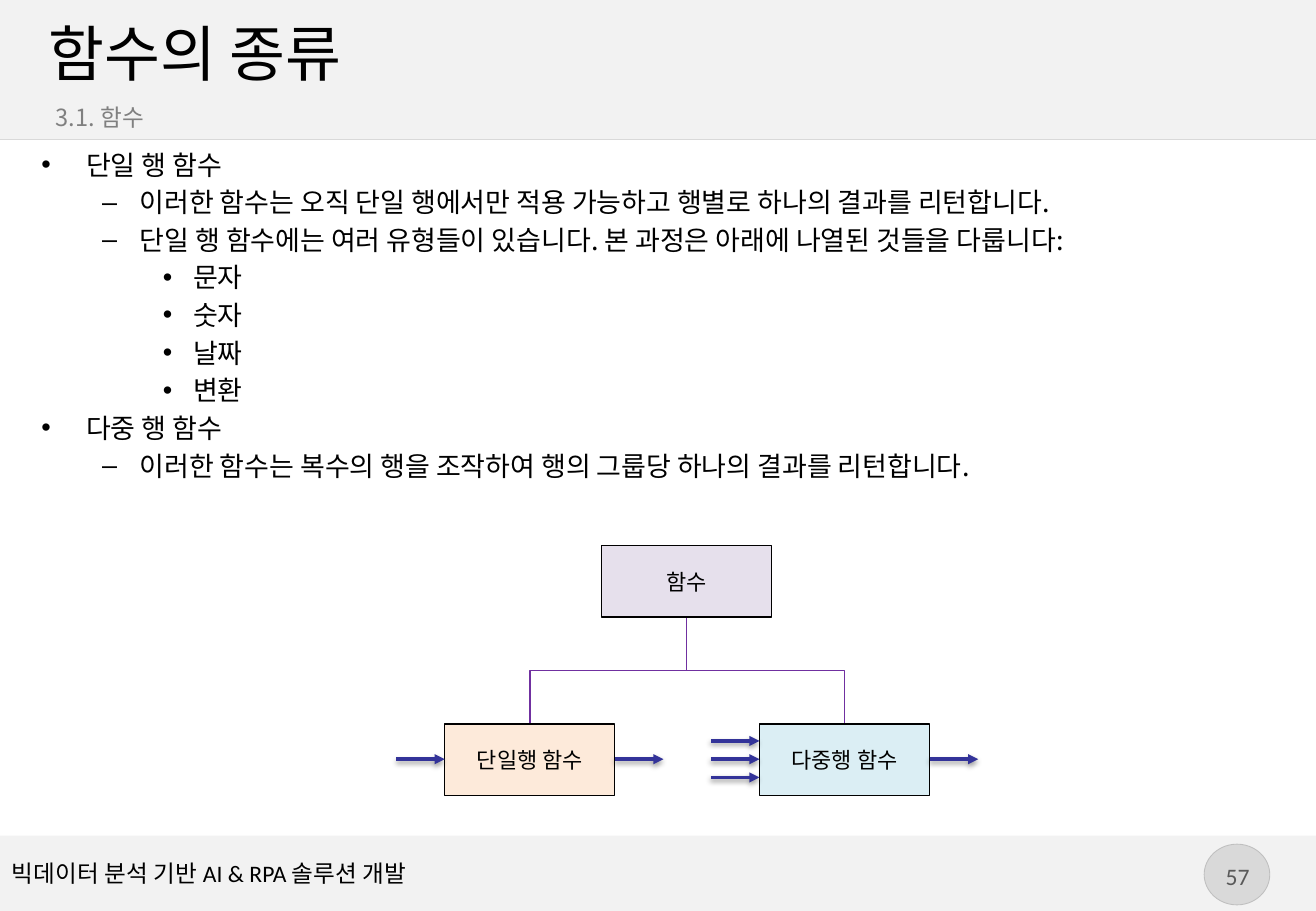
from typing import NamedTuple, Optional

from lxml import etree
from pptx import Presentation
from pptx.dml.color import RGBColor
from pptx.enum.shapes import MSO_CONNECTOR, MSO_SHAPE
from pptx.enum.text import MSO_ANCHOR, PP_ALIGN
from pptx.oxml.ns import qn
from pptx.util import Pt

EMU_PER_PX = 9144  # 100 px to the inch
SLIDE_WIDTH, SLIDE_HEIGHT = 1083, 750

RECTANGLE, OVAL = MSO_SHAPE.RECTANGLE, MSO_SHAPE.OVAL
STRAIGHT, ELBOW = MSO_CONNECTOR.STRAIGHT, MSO_CONNECTOR.ELBOW
TOP, MIDDLE = MSO_ANCHOR.TOP, MSO_ANCHOR.MIDDLE
LEFT, CENTER = PP_ALIGN.LEFT, PP_ALIGN.CENTER

BLACK = RGBColor(0x00, 0x00, 0x00)
BAND_GRAY = RGBColor(0xF2, 0xF2, 0xF2)
RULE_GRAY = RGBColor(0xD9, 0xD9, 0xD9)
RING_GRAY = RGBColor(0xBF, 0xBF, 0xBF)
NUMBER_GRAY = RGBColor(0x59, 0x59, 0x59)
SECTION_GRAY = RGBColor(0x80, 0x80, 0x80)
LILAC = RGBColor(0xE6, 0xE0, 0xEC)
PEACH = RGBColor(0xFD, 0xEA, 0xDA)
PALE_BLUE = RGBColor(0xDB, 0xEE, 0xF4)
PURPLE = RGBColor(0x70, 0x30, 0xA0)
NAVY = RGBColor(0x33, 0x33, 0x99)

LATIN_FONT = "Calibri"
KOREAN_FONT = "Noto Sans CJK KR"


class Box(NamedTuple):
    left: int
    top: int
    width: int
    height: int


class TextStyle(NamedTuple):
    size: int
    color: RGBColor = BLACK
    font: str = KOREAN_FONT
    align: PP_ALIGN = LEFT


class Level(NamedTuple):
    bullet: str
    margin: int
    hanging: int


class FunctionNode(NamedTuple):
    text: str
    center: int
    top: int
    fill: RGBColor
    input_offsets: tuple = ()


LEVELS = [Level("•", 37, 37), Level("–", 81, 31), Level("•", 125, 25)]
BODY = [
    (0, "단일 행 함수"),
    (1, "이러한 함수는 오직 단일 행에서만 적용 가능하고 행별로 하나의 결과를 리턴합니다."),
    (1, "단일 행 함수에는 여러 유형들이 있습니다. 본 과정은 아래에 나열된 것들을 다룹니다:"),
    (2, "문자"),
    (2, "숫자"),
    (2, "날짜"),
    (2, "변환"),
    (0, "다중 행 함수"),
    (1, "이러한 함수는 복수의 행을 조작하여 행의 그룹당 하나의 결과를 리턴합니다."),
]

NODE_WIDTH, NODE_HEIGHT, ARROW_LENGTH = 140, 59, 40
ROOT = FunctionNode("함수", 565, 449, LILAC)
CHILDREN = [
    FunctionNode("단일행 함수", 436, 596, PEACH, (0,)),
    FunctionNode("다중행 함수", 695, 596, PALE_BLUE, (-15, 0, 15)),
]


def px(length: float) -> int:
    return round(length * EMU_PER_PX)


def style_paragraph(paragraph, style: TextStyle) -> None:
    paragraph.alignment = style.align
    for run in paragraph.runs:
        run.font.size = Pt(style.size)
        run.font.name = style.font
        run.font.color.rgb = style.color
        east_asian = etree.Element(qn("a:ea"), typeface=style.font)
        run.font._element.find(qn("a:latin")).addnext(east_asian)


def add_panel(slide, kind, box: Box, fill: RGBColor, line: Optional[RGBColor] = None,
              line_width: float = 0.75, text: str = "", style: Optional[TextStyle] = None):
    shape = slide.shapes.add_shape(kind, *map(px, box))
    shape.shadow.inherit = False
    shape.fill.solid()
    shape.fill.fore_color.rgb = fill
    if line is None:
        shape.line.fill.background()
    else:
        shape.line.color.rgb = line
        shape.line.width = Pt(line_width)
    if style:
        shape.text_frame.text = text
        shape.text_frame.vertical_anchor = MIDDLE
        style_paragraph(shape.text_frame.paragraphs[0], style)
    return shape


def add_text(slide, box: Box, lines: list[str], style: TextStyle,
             insets: tuple = (0, 0, 0, 0), anchor=MIDDLE):
    text_frame = slide.shapes.add_textbox(*map(px, box)).text_frame
    text_frame.word_wrap = True
    text_frame.vertical_anchor = anchor
    (text_frame.margin_left, text_frame.margin_top,
     text_frame.margin_right, text_frame.margin_bottom) = map(px, insets)
    text_frame.text = "\n".join(lines)
    for paragraph in text_frame.paragraphs:
        style_paragraph(paragraph, style)
    return text_frame


def add_line(slide, kind, start: tuple, end: tuple, color: RGBColor, width: float):
    connector = slide.shapes.add_connector(kind, *map(px, start + end))
    connector.line.color.rgb = color
    connector.line.width = Pt(width)
    effects = etree.SubElement(connector._element.spPr, qn("a:effectLst"))
    return connector, effects


def add_arrow(slide, left: int, y: int) -> None:
    connector, effects = add_line(slide, STRAIGHT, (left, y), (left + ARROW_LENGTH, y), NAVY, 2)
    etree.SubElement(connector.line._get_or_add_ln(), qn("a:tailEnd"), type="triangle")
    shadow = etree.SubElement(effects, qn("a:outerShdw"), blurRad=str(Pt(3.1)),
                              dist=str(Pt(1.6)), dir="5400000", rotWithShape="0")
    color = etree.SubElement(shadow, qn("a:srgbClr"), val=str(BLACK))
    etree.SubElement(color, qn("a:alpha"), val="38000")


def add_branch(slide, parent: FunctionNode, child: FunctionNode) -> None:
    # The elbow is laid out sideways, then turned a quarter to leave the parent downwards
    parent_bottom = parent.top + NODE_HEIGHT
    center_x = (parent.center + child.center) / 2
    center_y = (parent_bottom + child.top) / 2
    half_drop = (child.top - parent_bottom) / 2
    half_run = (parent.center - child.center) / 2
    connector, _ = add_line(slide, ELBOW, (center_x - half_drop, center_y - half_run),
                            (center_x + half_drop, center_y + half_run), PURPLE, 1)
    connector._element.spPr.find(qn("a:xfrm")).set("rot", "5400000")


def add_node(slide, node: FunctionNode) -> None:
    left = node.center - NODE_WIDTH // 2
    add_panel(slide, RECTANGLE, Box(left, node.top, NODE_WIDTH, NODE_HEIGHT), node.fill, BLACK,
              text=node.text, style=TextStyle(13, align=CENTER))
    middle = node.top + NODE_HEIGHT // 2
    for offset in node.input_offsets:
        add_arrow(slide, left - ARROW_LENGTH, middle + offset)
    if node.input_offsets:
        add_arrow(slide, left + NODE_WIDTH, middle)


def add_body(slide) -> None:
    text_frame = add_text(slide, Box(34, 122, 1016, 568), [text for _, text in BODY],
                          TextStyle(16), (0, 0, 4, 0), TOP)
    for index, (paragraph, (depth, _)) in enumerate(zip(text_frame.paragraphs, BODY)):
        level = LEVELS[depth]
        paragraph.level = depth
        paragraph.line_spacing = Pt(19.1)
        if index:
            paragraph.space_before = Pt(3.2)
        properties = paragraph._p.get_or_add_pPr()
        properties.set("marL", str(px(level.margin)))
        properties.set("indent", str(-px(level.hanging)))
        etree.SubElement(properties, qn("a:buFont"), typeface="Arial")
        etree.SubElement(properties, qn("a:buChar"), char=level.bullet)


def main() -> None:
    presentation = Presentation()
    presentation.slide_width, presentation.slide_height = px(SLIDE_WIDTH), px(SLIDE_HEIGHT)
    slide = presentation.slides.add_slide(presentation.slide_layouts[6])

    # Footer band and page number
    add_panel(slide, RECTANGLE, Box(0, 688, SLIDE_WIDTH, 62), BAND_GRAY,
              text="빅데이터 분석 기반 AI & RPA 솔루션 개발", style=TextStyle(14, font=LATIN_FONT))
    add_panel(slide, OVAL, Box(991, 695, 54, 50), RULE_GRAY, RING_GRAY, 0.5)
    add_text(slide, Box(997, 704, 43, 34), ["57"],
             TextStyle(14, NUMBER_GRAY, LATIN_FONT, CENTER))

    # Header band with title and section
    add_panel(slide, RECTANGLE, Box(0, 0, SLIDE_WIDTH, 115), BAND_GRAY)
    add_line(slide, STRAIGHT, (0, 115), (SLIDE_WIDTH, 115), RULE_GRAY, 0.75)
    add_text(slide, Box(40, 13, 1005, 60), ["함수의 종류"], TextStyle(36))
    add_text(slide, Box(38, 84, 1007, 24), ["3.1. 함수"], TextStyle(14, SECTION_GRAY),
             (8, 5, 10, 5))

    # Body list and function tree
    add_body(slide)
    for child in CHILDREN:
        add_branch(slide, ROOT, child)
    for node in [ROOT, *CHILDREN]:
        add_node(slide, node)

    presentation.save("out.pptx")


if __name__ == "__main__":
    main()
